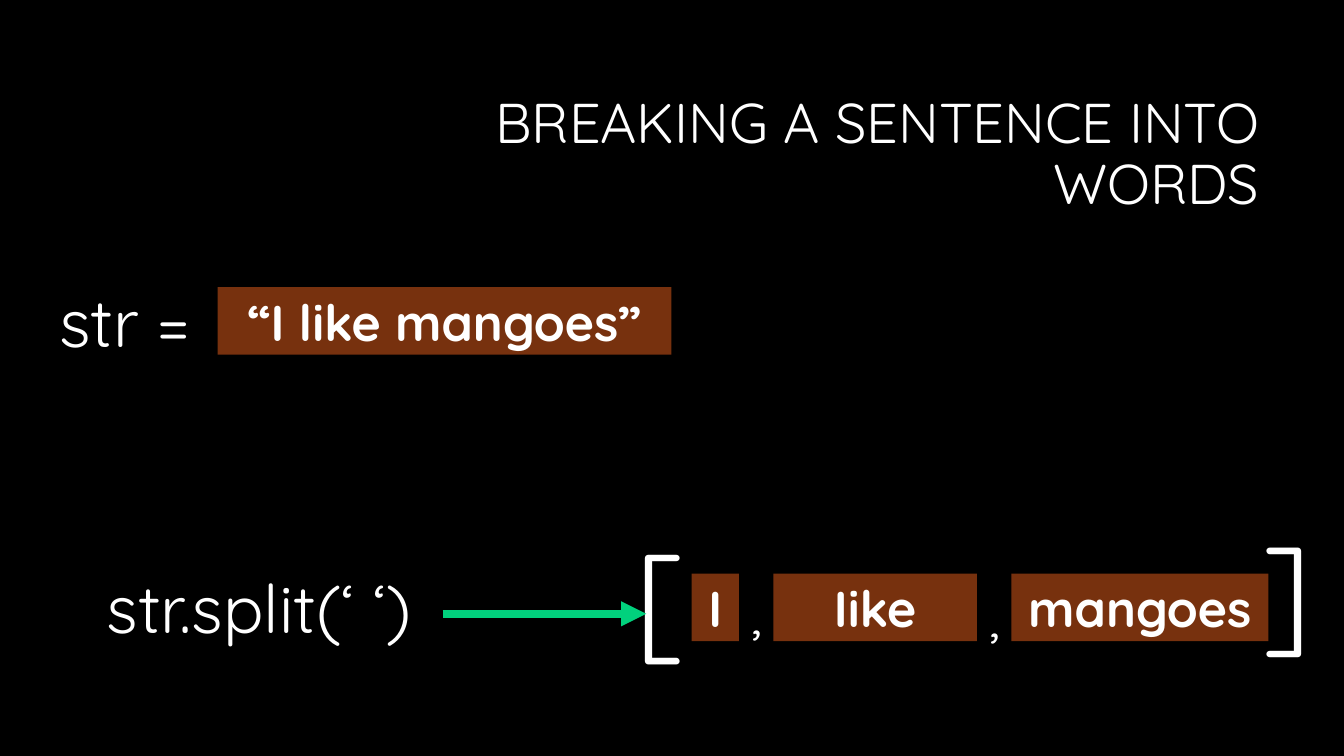
from lxml import etree
from pptx import Presentation
from pptx.dml.color import RGBColor
from pptx.enum import shapes, text
from pptx.oxml import ns
from pptx.util import Inches, Pt

BLACK = RGBColor(0x00, 0x00, 0x00)
WHITE = RGBColor(0xFF, 0xFF, 0xFF)
BROWN = RGBColor(0x77, 0x31, 0x0E)
GREEN = RGBColor(0x01, 0xD1, 0x7D)


class SlideBuilder:
    def __init__(self, page):
        self.page = page
        self.font = {"name": "Quicksand", "bold": False}
        page.background.fill.solid()
        page.background.fill.fore_color.rgb = BLACK

    def set_text(self, box, words, size, align, **extra):
        frame = box.text_frame
        frame.text = words
        para = frame.paragraphs[0]
        para.alignment = align
        font = para.runs[0].font
        for key, value in {**self.font, "size": Pt(size), **extra}.items():
            setattr(font, key, value)
        font.color.rgb = WHITE
        return para

    def title(self, words, left, top, width, height):
        box = self.page.shapes.title
        place = {"left": left, "top": top, "width": width, "height": height}
        for key, value in place.items():
            setattr(box, key, Inches(value))
        box.text_frame.vertical_anchor = text.MSO_ANCHOR.MIDDLE
        para = self.set_text(box, words, 40, text.PP_ALIGN.RIGHT)
        para.line_spacing = 0.9

    def word_box(self, words, left, top, width, height=0.67):
        box = self.page.shapes.add_shape(
            shapes.MSO_SHAPE.RECTANGLE,
            Inches(left), Inches(top), Inches(width), Inches(height))
        box.shadow.inherit = False
        box.fill.solid()
        box.fill.fore_color.rgb = BROWN
        box.line.fill.background()
        box.text_frame.vertical_anchor = text.MSO_ANCHOR.MIDDLE
        self.set_text(box, words, 36, text.PP_ALIGN.CENTER, bold=True)

    def label(self, words, size, left, top, width, height, rotation=0):
        box = self.page.shapes.add_textbox(
            Inches(left), Inches(top), Inches(width), Inches(height))
        box.rotation = rotation
        box.text_frame.word_wrap = False
        box.text_frame.auto_size = text.MSO_AUTO_SIZE.SHAPE_TO_FIT_TEXT
        self.set_text(box, words, size, text.PP_ALIGN.LEFT)

    def arrow(self, start, end, y):
        line = self.page.shapes.add_connector(
            shapes.MSO_CONNECTOR.STRAIGHT,
            Inches(start), Inches(y), Inches(end), Inches(y))
        line.line.color.rgb = GREEN
        line.line.width = Pt(6)
        properties = line._element.spPr
        etree.SubElement(properties.find(ns.qn("a:ln")), ns.qn("a:tailEnd"),
                         type="triangle")
        etree.SubElement(properties, ns.qn("a:effectLst"))


def main():
    deck = Presentation()
    deck.slide_width, deck.slide_height = Inches(13.33), Inches(7.5)
    slide = SlideBuilder(deck.slides.add_slide(deck.slide_layouts[5]))

    slide.title("BREAKING A SENTENCE INTO WORDS", 3.17, 0.84, 9.42, 1.41)
    slide.word_box("“I like mangoes”", 2.16, 2.85, 4.5)
    for word, left, width in (("I", 6.86, 0.47), ("Iike", 7.67, 2.02),
                              ("mangoes", 10.03, 2.55)):
        slide.word_box(word, left, 5.69, width)

    slide.label("str =", 48, 0.49, 2.73, 1.67, 0.91)
    slide.label("str.split(‘ ‘)", 48, 0.96, 5.57, 3.46, 0.91)
    for left, top, rotation in ((6.21, 5.09, 0), (12.48, 5.36, 180)):
        slide.label("[", 88, left, top, 0.63, 1.58, rotation)
    slide.arrow(4.39, 6.41, 6.09)
    for left, top in ((7.36, 5.69), (9.72, 5.72)):
        slide.label(",", 40, left, top, 0.36, 0.77)

    deck.save("out.pptx")


if __name__ == "__main__":
    main()
